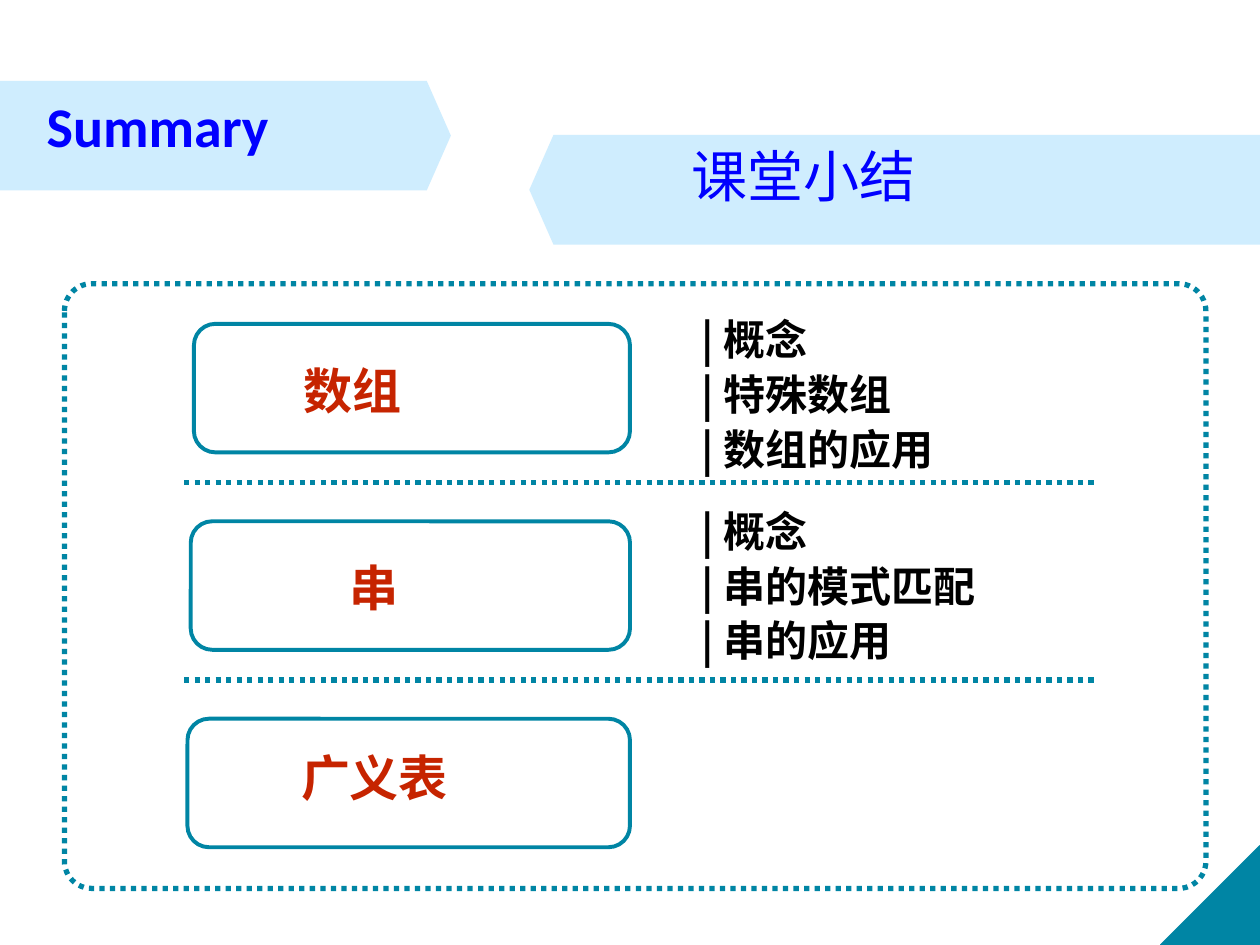
from dataclasses import dataclass

from lxml.etree import SubElement
from pptx import Presentation
from pptx.dml.color import RGBColor
from pptx.enum.dml import MSO_LINE_DASH_STYLE as Dash
from pptx.enum.shapes import MSO_CONNECTOR as Connector
from pptx.enum.shapes import MSO_SHAPE as Shape
from pptx.oxml.ns import qn
from pptx.util import Cm, Pt


@dataclass(frozen=True)
class Theme:
    """Colours, fonts and type sizes of the slide."""
    band: str = "CFEDFE"
    teal: str = "0085A4"
    heading: str = "0000FF"
    chapter: str = "C62400"
    body: str = "000000"
    latin: str = "Calibri"
    sans: str = "Arial"
    chinese: str = "Noto Sans CJK SC"
    heading_size: float = 32
    chapter_size: float = 28
    topic_size: float = 24
    topic_pitch: float = 31.2


@dataclass(frozen=True)
class Chapter:
    """One row of the summary: its name, name indent and topics."""
    name: str
    indent: float
    label_drop: float
    topics: tuple = ()


THEME = Theme()
CHAPTERS = (
    Chapter("数组", 2.21, 0.61, ("概念", "特殊数组", "数组的应用")),
    Chapter("串", 3.2, 0.61, ("概念", "串的模式匹配", "串的应用")),
    Chapter("广义表", 2.29, 0.46),
)


def add_text(slide, box, lines, *, size, color, font, bold=False, pitch=None):
    """Write one paragraph per line in a text box."""
    frame = slide.shapes.add_textbox(*map(Cm, box)).text_frame
    frame.word_wrap = True
    for index, line in enumerate(lines):
        paragraph = frame.paragraphs[0] if index == 0 else frame.add_paragraph()
        if pitch:
            paragraph.line_spacing = Pt(pitch)
        run = paragraph.add_run()
        run.text = line
        run.font.name = font
        run.font.size = Pt(size)
        run.font.bold = bold
        run.font.color.rgb = RGBColor.from_string(color)


def style_line(line, width, dash=None):
    """Give a line the theme colour, a width and an optional dash."""
    line.color.rgb = RGBColor.from_string(THEME.teal)
    line.width = Pt(width)
    if dash:
        line.dash_style = dash


def add_panel(slide, kind, box, *, fill=None, width=None, dash=None):
    """Add a preset shape, filled or outlined, without a shadow."""
    panel = slide.shapes.add_shape(kind, *map(Cm, box))
    panel.shadow.inherit = False
    if fill:
        panel.fill.solid()
        panel.fill.fore_color.rgb = RGBColor.from_string(fill)
    else:
        panel.fill.background()
    if width:
        style_line(panel.line, width, dash)
    else:
        panel.line.fill.background()
    return panel


def add_divider(slide, left, right, y):
    """Draw a dotted horizontal rule."""
    rule = slide.shapes.add_connector(Connector.STRAIGHT, Cm(left), Cm(y), Cm(right), Cm(y))
    style_line(rule.line, 3, Dash.ROUND_DOT)
    SubElement(rule._element.spPr, qn("a:effectLst"))


def add_banner(slide, box, title, title_offset, *, font, bold=False, point=0.22, rotation=0):
    """Place an arrow band with its heading."""
    left, top, width, _ = box
    band = add_panel(slide, Shape.PENTAGON, box, fill=THEME.band)
    band.adjustments[0] = point
    band.rotation = rotation
    across, down = title_offset
    add_text(slide, (left + across, top + down, width - across, 1.6), [title],
             size=THEME.heading_size, color=THEME.heading, font=font, bold=bold)


def add_corner(slide, box):
    """Place the triangle in the lower right corner."""
    corner = add_panel(slide, Shape.RIGHT_TRIANGLE, box, fill=THEME.teal, width=0.75)
    corner._element.spPr.xfrm.set("flipH", "1")


def add_chapter(slide, box, chapter, topics_box):
    """Place a chapter box, its name and its topics."""
    left, top, width, _ = box
    add_panel(slide, Shape.FLOWCHART_ALTERNATE_PROCESS, box, width=2.25)
    label_box = (left + chapter.indent - 0.25, top + chapter.label_drop,
                 width - chapter.indent, 1.45)
    add_text(slide, label_box, [chapter.name], size=THEME.chapter_size,
             color=THEME.chapter, font=THEME.sans, bold=True)
    if chapter.topics:
        add_text(slide, topics_box, [f"| {topic}" for topic in chapter.topics],
                 size=THEME.topic_size, color=THEME.body, font=THEME.chinese,
                 bold=True, pitch=THEME.topic_pitch)


def add_summary(slide, box):
    """Place the dotted frame with its chapters and dividers."""
    left, top, _, _ = box
    frame = add_panel(slide, Shape.ROUNDED_RECTANGLE, box, width=3, dash=Dash.ROUND_DOT)
    frame.adjustments[0] = 0.045
    for row, chapter in enumerate(CHAPTERS):
        row_left = left + 2.61 - 0.065 * row
        row_top = top + 0.81 + 3.98 * row
        row_box = (row_left, row_top, left + 11.4 - row_left, 2.59)
        topics_box = (left + 12.59, top + 0.4 + 3.86 * row, 8.81, 3.53)
        add_chapter(slide, row_box, chapter, topics_box)
        if row < len(CHAPTERS) - 1:
            add_divider(slide, left + 2.41, left + 20.8, row_top + 3.2)


def main():
    """Build and save the summary slide."""
    deck = Presentation()
    deck.slide_width, deck.slide_height = Cm(25.4), Cm(19.05)
    slide = deck.slides.add_slide(deck.slide_layouts[6])
    add_banner(slide, (0, 1.63, 9.09, 2.21), "Summary", (0.69, 0.1),
               font=THEME.latin, bold=True)
    add_banner(slide, (10.67, 2.72, 14.73, 2.21), "课堂小结", (3.02, 0),
               font=THEME.sans, rotation=180)
    add_corner(slide, (23.4, 17.05, 2, 2))
    add_summary(slide, (1.3, 5.72, 23.01, 12.19))
    deck.save("out.pptx")


if __name__ == "__main__":
    main()
